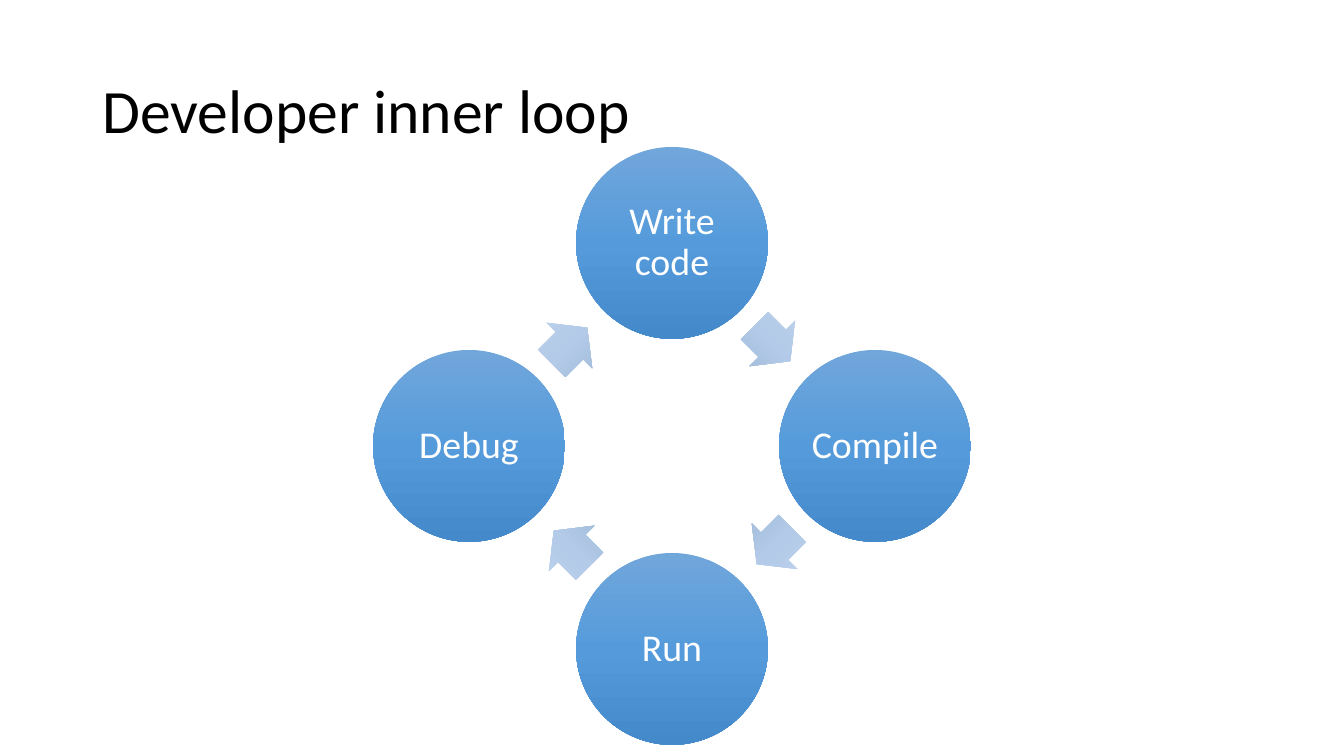
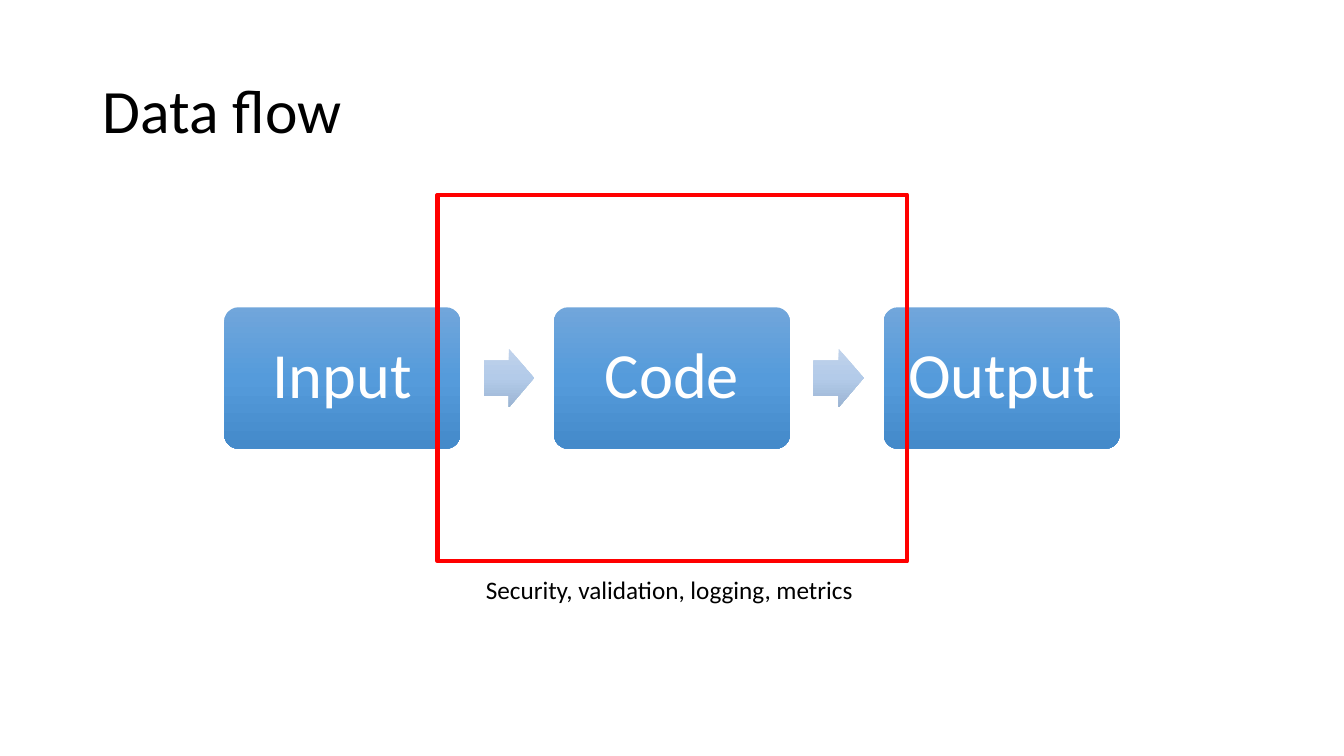
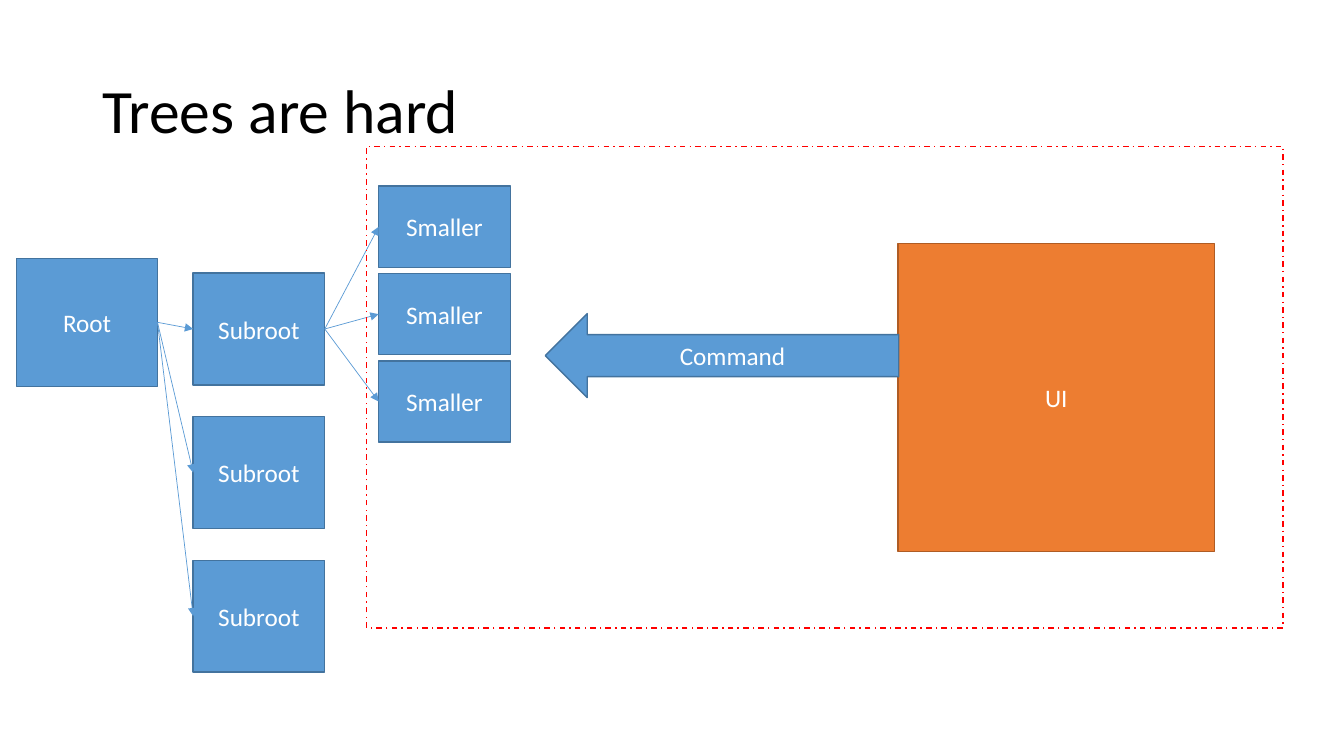
"""Build three slides on the developer loop, data flow and trees."""
import copy
import math

from lxml import etree
from pptx import Presentation
from pptx import util as u
from pptx.dml import color
from pptx.enum import dml, shapes, text
from pptx.oxml import ns

COLORS = {
    "black": "000000",
    "white": "FFFFFF",
    "red": "FF0000",
    "blue": "5B9BD5",
    "blue_edge": "43739E",
    "orange": "ED7D31",
    "orange_edge": "AF5C24",
}
GRADIENTS = {
    "node": ("71A6DB", "559BDB", "448ACA"),
    "arrow": ("C0D2EB", "B3CBE9", "9BB4D3"),
}
FONT = "Calibri"
KIND = shapes.MSO_SHAPE
LEFT_SITE, RIGHT_SITE = 1, 3


def rgb(name):
    """Return the named palette colour."""
    return color.RGBColor.from_string(COLORS[name])


def write(frame, words, size, color_name, alignment, spacing=1.0):
    """Write one formatted run into the first paragraph of a text frame."""
    paragraph = frame.paragraphs[0]
    paragraph.alignment = alignment
    paragraph.line_spacing = spacing
    run = paragraph.add_run()
    run.text = words
    run.font.name = FONT
    run.font.size = u.Pt(size)
    run.font.color.rgb = rgb(color_name)


def add_titled_slide(presentation, title):
    """Add a title-only slide with the shared title style."""
    slide = presentation.slides.add_slide(presentation.slide_layouts[5])
    shape = slide.shapes.title
    shape.left, shape.top = u.Pt(66), u.Pt(28.8)
    shape.width, shape.height = u.Pt(828), u.Pt(104.4)
    frame = shape.text_frame
    frame.auto_size = text.MSO_AUTO_SIZE.NONE
    frame.vertical_anchor = text.MSO_ANCHOR.MIDDLE
    write(frame, title, 44, "black", text.PP_ALIGN.LEFT, 0.9)
    return slide


def add_plain_shape(slide, kind, left, top, width, height):
    """Add a preset shape without shadow, fill or line."""
    shape = slide.shapes.add_shape(
        kind, u.Pt(left), u.Pt(top), u.Pt(width), u.Pt(height))
    shape.shadow.inherit = False
    shape.fill.background()
    shape.line.fill.background()
    return shape


def outline(shape, color_name, width):
    """Give a shape or connector a solid line."""
    shape.line.color.rgb = rgb(color_name)
    shape.line.width = u.Pt(width)


def label(shape, words, size, inset=7.2, spacing=1.0):
    """Centre white text in a shape."""
    frame = shape.text_frame
    frame.word_wrap = True
    frame.vertical_anchor = text.MSO_ANCHOR.MIDDLE
    frame.margin_left = frame.margin_right = u.Pt(inset)
    frame.margin_top = frame.margin_bottom = u.Pt(inset)
    write(frame, words, size, "white", text.PP_ALIGN.CENTER, spacing)


def add_gradient_shape(slide, kind, center_x, center_y, width, height, gradient):
    """Add a shape around a centre point with a three-stop downward gradient."""
    shape = add_plain_shape(slide, kind, center_x - width / 2,
                            center_y - height / 2, width, height)
    shape.fill.gradient()
    shape.fill.gradient_angle = 270
    stop_list = shape._element.spPr.find(".//" + ns.qn("a:gsLst"))
    stop_list.append(copy.deepcopy(stop_list[0]))
    stops = zip(shape.fill.gradient_stops, (0, 0.5, 1), GRADIENTS[gradient])
    for stop, position, value in stops:
        stop.position = position
        stop.color.rgb = color.RGBColor.from_string(value)
    return shape


def add_flow_arrow(slide, center_x, center_y, height, rotation=0):
    """Add a pale block arrow around a centre point."""
    arrow = add_gradient_shape(
        slide, KIND.RIGHT_ARROW, center_x, center_y, 36, height, "arrow")
    arrow.adjustments[0], arrow.adjustments[1] = 0.6, 0.5
    arrow.rotation = rotation


def add_box(slide, words, left, top, width, height, kind=KIND.RECTANGLE,
            fill="blue"):
    """Add a solid labelled shape with a darker edge."""
    box = add_plain_shape(slide, kind, left, top, width, height)
    box.fill.solid()
    box.fill.fore_color.rgb = rgb(fill)
    outline(box, fill + "_edge", 1)
    label(box, words, 18)
    return box


def add_frame(slide, left, top, width, height, line_width):
    """Add an unfilled red rectangle."""
    frame = add_plain_shape(slide, KIND.RECTANGLE, left, top, width, height)
    outline(frame, "red", line_width)
    return frame


def add_branches(slide, parent, children):
    """Draw a thin arrow from a parent box to each child box."""
    for child in children:
        connector = slide.shapes.add_connector(
            shapes.MSO_CONNECTOR.STRAIGHT, 0, 0, 0, 0)
        connector.begin_connect(parent, RIGHT_SITE)
        connector.end_connect(child, LEFT_SITE)
        outline(connector, "blue", 0.5)
        properties = connector._element.spPr
        line = properties.find(ns.qn("a:ln"))
        etree.SubElement(line, ns.qn("a:tailEnd"), type="triangle")
        etree.SubElement(properties, ns.qn("a:effectLst"))


def polar(radius, degrees):
    """Return the point at an angle on a ring around the loop centre."""
    angle = math.radians(degrees)
    return 480 + radius * math.cos(angle), 318.5 + radius * math.sin(angle)


def build_loop(presentation):
    """Build the developer loop slide."""
    slide = add_titled_slide(presentation, "Developer inner loop")
    for index, step in enumerate(("Write code", "Compile", "Run", "Debug")):
        turn = 90 * index
        circle = add_gradient_shape(
            slide, KIND.OVAL, *polar(145, turn - 90), 137, 137, "node")
        label(circle, step, 27, 2, 0.9)
        add_flow_arrow(slide, *polar(102.5, turn - 45.6), 46, turn + 45)


def build_flow(presentation):
    """Build the data flow slide."""
    slide = add_titled_slide(presentation, "Data flow")
    stages = ("Input", "Code", "Output")
    for index, stage in enumerate(stages):
        center = 480 + 235.5 * (index - 1)
        box = add_gradient_shape(
            slide, KIND.ROUNDED_RECTANGLE, center, 270, 168.5, 101, "node")
        box.adjustments[0] = 0.1
        label(box, stage, 46, 13, 0.9)
        if index < len(stages) - 1:
            add_flow_arrow(slide, center + 119, 270, 42)
    add_frame(slide, 312.5, 139, 335.5, 262, 3)
    caption = slide.shapes.add_textbox(
        u.Pt(340), u.Pt(407), u.Pt(280), u.Pt(29)).text_frame
    caption.word_wrap = False
    caption.auto_size = text.MSO_AUTO_SIZE.SHAPE_TO_FIT_TEXT
    write(caption, "Security, validation, logging, metrics", 18, "black",
          text.PP_ALIGN.LEFT)


def build_tree(presentation):
    """Build the tree slide."""
    slide = add_titled_slide(presentation, "Trees are hard")
    root = add_box(slide, "Root", 12, 184.5, 100.5, 91.5)
    subroots = [add_box(slide, "Subroot", 138, 195 + 102.6 * row, 94, 80)
                for row in range(3)]
    leaves = [add_box(slide, "Smaller", 270.5, 133 + 62.4 * row, 94, 58)
              for row in range(3)]
    add_branches(slide, root, subroots)
    add_branches(slide, subroots[0], leaves)
    add_box(slide, "UI", 641.5, 174, 226, 220, fill="orange")
    add_box(slide, "Command", 389.5, 224, 252.5, 60, kind=KIND.LEFT_ARROW)
    scope = add_frame(slide, 262, 104.5, 654.5, 344, 1)
    scope.line.dash_style = dml.MSO_LINE.DASH_DOT


def main():
    """Build and save the presentation."""
    presentation = Presentation()
    presentation.slide_width, presentation.slide_height = u.Pt(960), u.Pt(540)
    build_loop(presentation)
    build_flow(presentation)
    build_tree(presentation)
    presentation.save("out.pptx")


if __name__ == "__main__":
    main()
